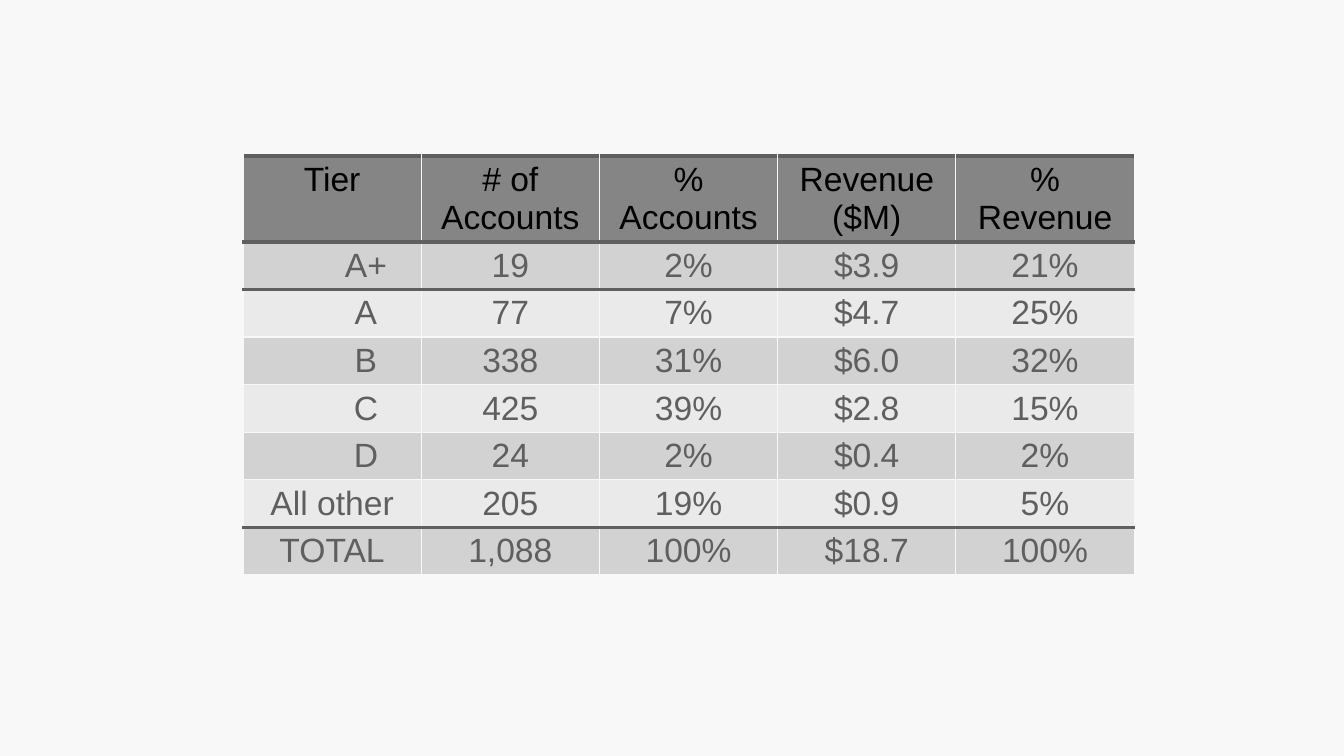
from lxml.etree import SubElement
from pptx import Presentation
from pptx.dml.color import RGBColor as Rgb
from pptx.enum.text import PP_ALIGN as Align
from pptx.oxml import parse_xml
from pptx.oxml.ns import nsdecls, qn
from pptx.util import Inches, Pt

COLORS = {
    "paper": "F8F8F8",
    "header": "858585",
    "header_text": "000000",
    "dark_band": "D2D2D2",
    "light_band": "EAEAEA",
    "ink": "5F5F5F",
}

TIERS = [
    ("Tier", "# of Accounts", "% Accounts", "Revenue ($M)", "% Revenue"),
    ("A+", "19", "2%", "$3.9", "21%"),
    ("A", "77", "7%", "$4.7", "25%"),
    ("B", "338", "31%", "$6.0", "32%"),
    ("C", "425", "39%", "$2.8", "15%"),
    ("D", "24", "2%", "$0.4", "2%"),
    ("All other", "205", "19%", "$0.9", "5%"),
    ("TOTAL", "1,088", "100%", "$18.7", "100%"),
]
INDENTED_TIERS = {"A+", "A", "B", "C", "D"}
HEAVY_RULES = {0, 1, 2, 7}  # horizontal rules, counted from the top edge


class TierSlide:
    font, size = "Arial", Pt(24)

    def __init__(self, deck):
        self.width, self.height = deck.slide_width, deck.slide_height
        self.slide = deck.slides.add_slide(deck.slide_layouts[6])
        background = self.slide.background.fill
        background.solid()
        background.fore_color.rgb = Rgb.from_string(COLORS["paper"])

    def table(self, rows, left, top, width, header_height, row_height):
        """Place a table; all lengths are shares of the slide."""
        frame = self.slide.shapes.add_table(
            len(rows), len(rows[0]), int(left * self.width), int(top * self.height),
            int(width * self.width), int(row_height * len(rows) * self.height))
        grid = frame.table
        grid.first_row = grid.horz_banding = False
        for r, values in enumerate(rows):
            share = row_height if r else header_height
            grid.rows[r].height = int(share * self.height)
            for c, value in enumerate(values):
                self.cell(grid.cell(r, c), value, r)

    def cell(self, cell, value, row):
        band = ("light_band", "dark_band")[row % 2] if row else "header"
        cell.fill.solid()
        cell.fill.fore_color.rgb = Rgb.from_string(COLORS[band])
        cell.text_frame.text = value
        line = cell.text_frame.paragraphs[0]
        line.alignment = Align.CENTER
        if value in INDENTED_TIERS:
            line.level = 1
            props = line._p.get_or_add_pPr()
            props.set("marL", str(Inches(0.67)))
            props.set("indent", "0")
        font = line.runs[0].font
        font.name, font.size, font.bold = self.font, self.size, False
        font.color.rgb = Rgb.from_string(COLORS["ink" if row else "header_text"])
        self.borders(cell, row)

    def borders(self, cell, row):
        heavy = {"lnL": False, "lnR": False,
                 "lnT": row in HEAVY_RULES, "lnB": row + 1 in HEAVY_RULES}
        for place, (side, is_heavy) in enumerate(heavy.items()):
            edge = parse_xml(f'<a:{side} {nsdecls("a")}/>')
            edge.set("w", str(Pt(3 if is_heavy else 1)))
            paint = SubElement(edge, qn("a:solidFill"))
            color = COLORS["ink" if is_heavy else "paper"]
            SubElement(paint, qn("a:srgbClr")).set("val", color)
            cell._tc.get_or_add_tcPr().insert(place, edge)


def main():
    deck = Presentation()
    deck.slide_width, deck.slide_height = Inches(13.33), Inches(7.5)

    # Accounts and revenue by tier
    TierSlide(deck).table(TIERS, left=2.41 / 13.33, top=1.55 / 7.5,
                          width=8.84 / 13.33, header_height=0.85 / 7.5,
                          row_height=0.47 / 7.5)
    deck.save("out.pptx")


if __name__ == "__main__":
    main()
